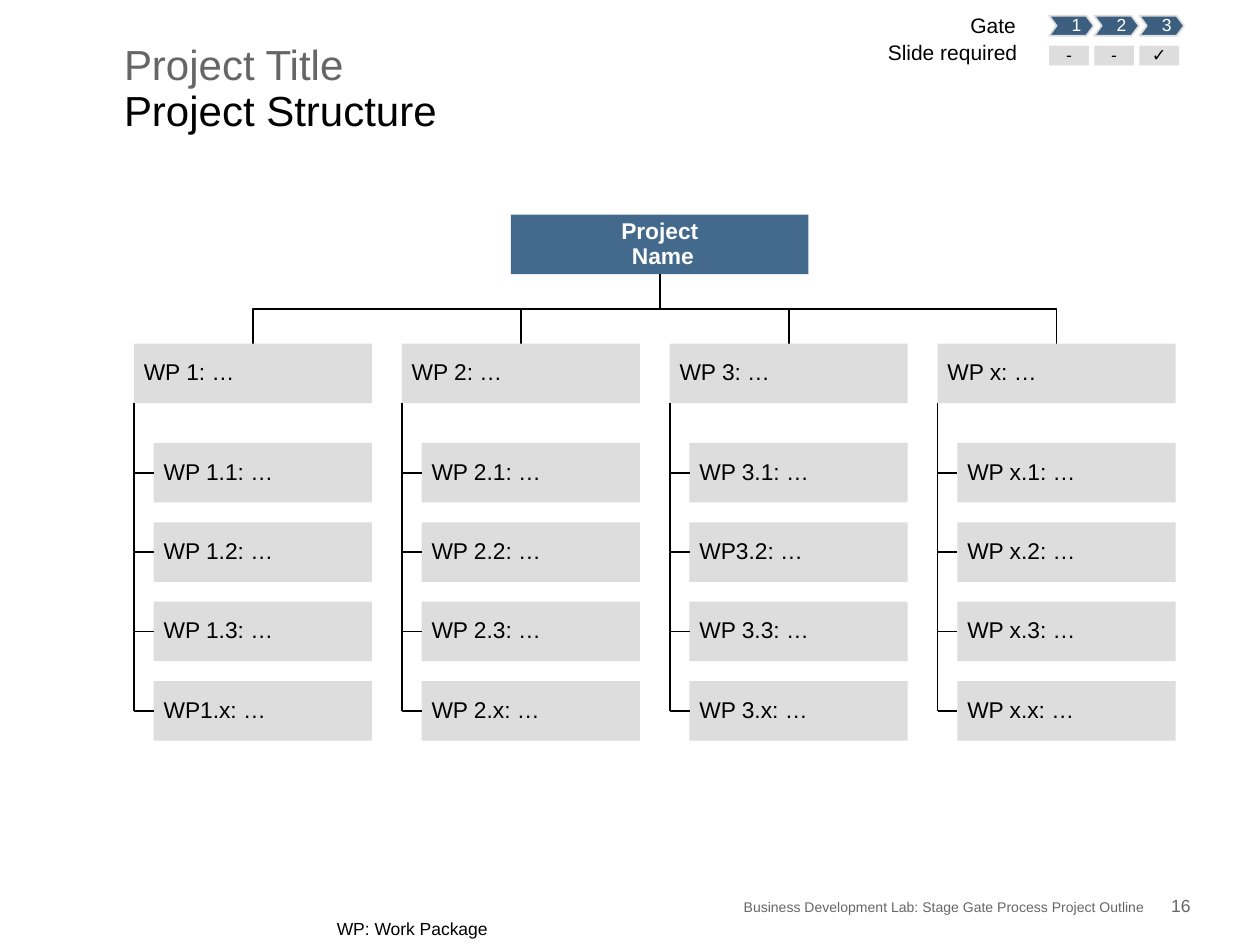
from pptx import Presentation
from pptx import util as u
from pptx.dml import color
from pptx.enum import shapes, text
from pptx.oxml import ns, xmlchemy

BLACK = color.RGBColor(0x00, 0x00, 0x00)
WHITE = color.RGBColor(0xFF, 0xFF, 0xFF)
GREY = color.RGBColor(0x66, 0x66, 0x66)
LIGHT = color.RGBColor(0xDD, 0xDD, 0xDD)
BLUE = color.RGBColor(0x43, 0x6A, 0x8D)
DARK_BLUE = color.RGBColor(0x3C, 0x5F, 0x7F)
LEFT, CENTER, RIGHT = (text.PP_ALIGN.LEFT, text.PP_ALIGN.CENTER,
                       text.PP_ALIGN.RIGHT)
TOP, MIDDLE, BOTTOM = (text.MSO_ANCHOR.TOP, text.MSO_ANCHOR.MIDDLE,
                       text.MSO_ANCHOR.BOTTOM)


class SlideBuilder:
    font = "Arial"
    line_width = u.Pt(1)

    def __init__(self, slide):
        self.slide = slide

    def fill_text(self, shape, lines, size, colors, align=LEFT, anchor=TOP,
                  margins=(0, 0, 0, 0), wrap=False, spacing=0.9, after=0,
                  bold=False):
        frame = shape.text_frame
        frame.word_wrap = wrap
        frame.auto_size = text.MSO_AUTO_SIZE.NONE
        frame.vertical_anchor = anchor
        (frame.margin_left, frame.margin_top,
         frame.margin_right, frame.margin_bottom) = map(u.Cm, margins)
        paragraph = frame.paragraphs[0]
        paragraph.alignment = align
        paragraph.line_spacing = spacing
        paragraph.space_before = u.Pt(0)
        paragraph.space_after = u.Pt(after)
        for index, line in enumerate(lines):
            if index:
                paragraph.add_line_break()
            run = paragraph.add_run()
            run.text = line
            run.font.name = self.font
            run.font.size = u.Pt(size)
            run.font.bold = bold
            run.font.color.rgb = colors[index % len(colors)]

    def title(self, lines, colors, place):
        shape = self.slide.shapes.title
        shape.left, shape.top, shape.width, shape.height = map(u.Cm, place)
        self.fill_text(shape, lines, 24, colors, wrap=True, after=9)

    def label(self, line, place, size, font_color=BLACK, **options):
        shape = self.slide.shapes.add_textbox(*map(u.Cm, place))
        self.fill_text(shape, [line], size, [font_color], **options)

    def box(self, lines, place, size=13, fill=LIGHT, font_color=BLACK,
            **options):
        shape = self.slide.shapes.add_shape(
            shapes.MSO_SHAPE.RECTANGLE, *map(u.Cm, place))
        shape.shadow.inherit = False
        shape.fill.solid()
        shape.fill.fore_color.rgb = fill
        shape.line.fill.background()
        self.fill_text(shape, lines, size, [font_color], anchor=MIDDLE,
                       **options)

    def gate(self, line, left, top, width, height, tip):
        right, bottom, middle = left + width, top + height, top + height / 2
        points = [(left, top), (right - tip, top), (right, middle),
                  (right - tip, bottom), (left, bottom), (left + tip, middle)]
        corners = [(u.Cm(x), u.Cm(y)) for x, y in points]
        builder = self.slide.shapes.build_freeform(*corners[0])
        builder.add_line_segments(corners[1:], close=True)
        shape = builder.convert_to_shape()
        shape.shadow.inherit = False
        shape.fill.solid()
        shape.fill.fore_color.rgb = DARK_BLUE
        shape.line.color.rgb = LIGHT
        shape.line.width = self.line_width
        self.fill_text(shape, [line], 10, [WHITE], align=CENTER,
                       anchor=MIDDLE, margins=(0.2, 0, 0, 0), after=3.7)

    def line(self, *ends, kind=shapes.MSO_CONNECTOR.STRAIGHT):
        connector = self.slide.shapes.add_connector(kind, *map(u.Cm, ends))
        connector.line.color.rgb = BLACK
        connector.line.width = self.line_width
        connector._element.spPr.append(
            xmlchemy.OxmlElement("a:effectLst"))
        return connector

    def branch(self, x1, y1, x2, y2):
        side = 1 if x2 > x1 else -1
        x, y = (x1 + x2) / 2, (y1 + y2) / 2
        half_drop, half_span = (y2 - y1) / 2, abs(x2 - x1) / 2
        connector = self.line(x + side * half_drop, y - half_span,
                              x - side * half_drop, y + half_span,
                              kind=shapes.MSO_CONNECTOR.ELBOW)
        transform = connector._element.spPr.find(ns.qn("a:xfrm"))
        transform.set("rot", str((180 + side * 90) * 60000))


def main():
    presentation = Presentation()
    presentation.slide_width = u.Cm(25.4)
    presentation.slide_height = u.Cm(19.05)
    builder = SlideBuilder(
        presentation.slides.add_slide(presentation.slide_layouts[5]))

    builder.title(["Project Title", "Project Structure"], [GREY, BLACK],
                  (2.5, 0.9, 21.5, 2.7))

    box_height, package_width, indent = 1.2, 4.8, 0.4
    package_top, task_top = 6.93, 8.93
    root_left, root_top, root_width = 10.3, 4.33, 6
    root_center = root_left + root_width / 2
    package_margins = (0.2, 0.03, 0.03, 0.03)
    packages = [
        ("WP 1: …", ["WP 1.1: …", "WP 1.2: …", "WP 1.3: …", "WP1.x: …"]),
        ("WP 2: …", ["WP 2.1: …", "WP 2.2: …", "WP 2.3: …", "WP 2.x: …"]),
        ("WP 3: …", ["WP 3.1: …", "WP3.2: …", "WP 3.3: …", "WP 3.x: …"]),
        ("WP x: …", ["WP x.1: …", "WP x.2: …", "WP x.3: …", "WP x.x: …"]),
    ]
    builder.box(["Project", " Name"],
                (root_left, root_top, root_width, box_height), fill=BLUE,
                font_color=WHITE, align=CENTER, bold=True, wrap=True,
                margins=(0.03,) * 4)
    for column, (package, tasks) in enumerate(packages):
        left = 2.7 + column * 5.4
        builder.branch(root_center, root_top + box_height,
                       left + package_width / 2, package_top)
        builder.box([package], (left, package_top, package_width, box_height),
                    margins=package_margins, wrap=True)
        for row, task in enumerate(tasks):
            top = task_top + row * 1.6
            middle = top + box_height / 2
            builder.box([task], (left + indent, top, package_width - indent,
                                 box_height),
                        margins=package_margins, wrap=True)
            builder.line(left, middle, left + indent, middle)
        builder.line(left, package_top + box_height, left, middle)

    builder.label("Gate", (19.56, 0.32, 0.92, 0.46), 12, align=CENTER,
                  after=4.5)
    builder.label("Slide required", (17.9, 0.86, 2.61, 0.46), 12, align=RIGHT,
                  after=4.5)
    for index, mark in enumerate(["-", "-", "✓"]):
        left = 21.15 + index * 0.91
        builder.gate(str(index + 1), left, 0.32, 0.9, 0.4, 0.15)
        builder.box([mark], (left, 0.92, 0.8, 0.4), size=10, align=CENTER,
                    after=3.7)

    builder.label("WP: Work Package", (6.79, 18.55, 3.06, 0.38), 10,
                  after=3.7)
    builder.label(
        "Business Development Lab: Stage Gate Process Project Outline",
        (4.25, 18.06, 18.83, 0.4), 8, GREY, align=RIGHT, anchor=BOTTOM,
        spacing=1.0)
    builder.label("16", (23.07, 18.06, 0.93, 0.4), 10, GREY, align=RIGHT,
                  anchor=BOTTOM, spacing=1.0)
    presentation.save("out.pptx")


if __name__ == "__main__":
    main()
